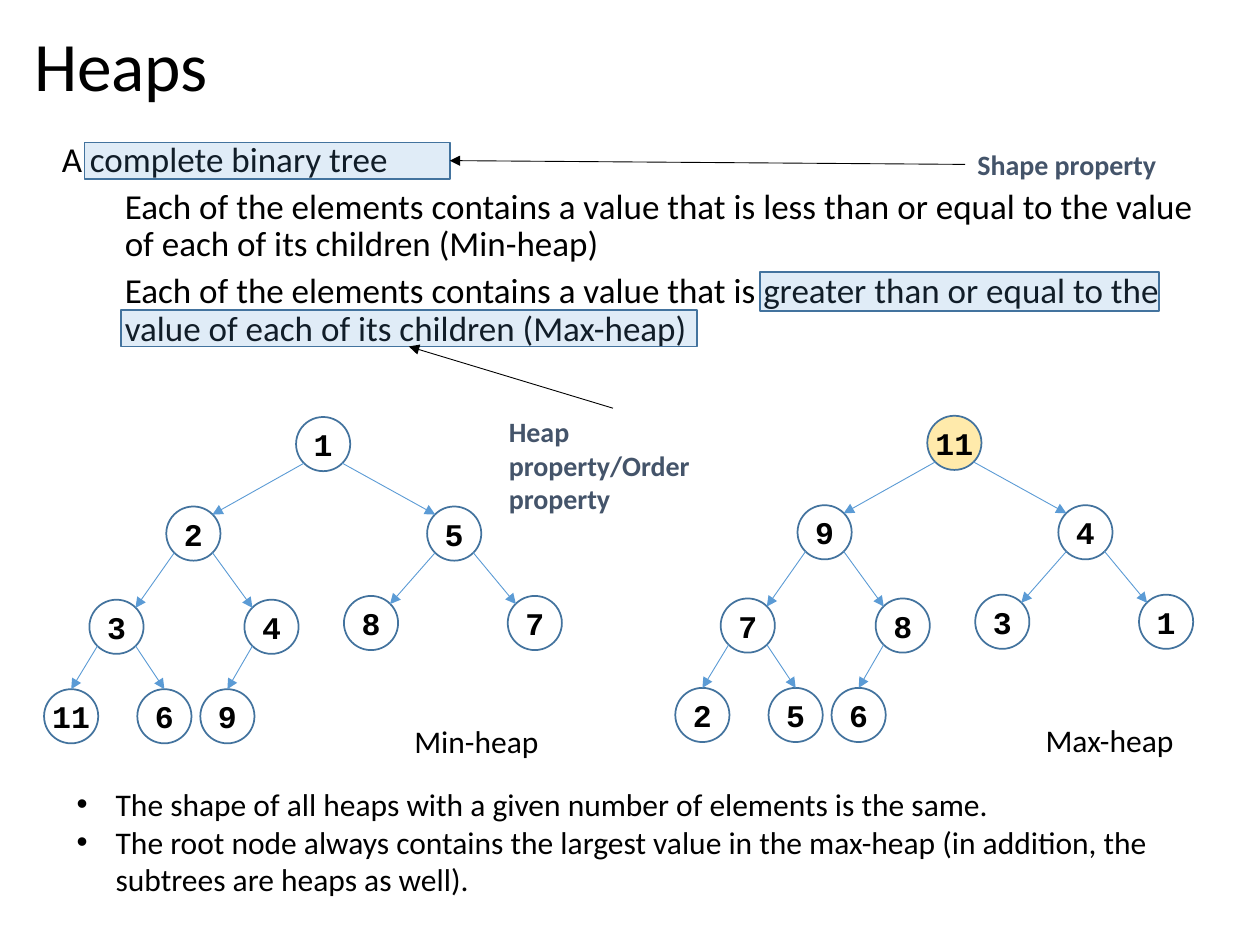
from dataclasses import dataclass
from typing import NamedTuple

from pptx import Presentation
from pptx.dml.color import RGBColor
from pptx.enum.shapes import MSO_CONNECTOR as Line, MSO_SHAPE as Preset
from pptx.enum.text import MSO_ANCHOR as Anchor, MSO_AUTO_SIZE as AutoSize, PP_ALIGN as Align
from pptx.oxml.ns import qn
from pptx.util import Inches, Pt
from lxml.etree import SubElement


@dataclass(frozen=True)
class Theme:
    text: str = "000000"
    note: str = "44546A"
    outline: str = "43739E"
    accent: str = "5B9BD5"
    root: str = "FFC000"
    font: str = "Calibri"
    node_font: str = "Courier New"
    title_size: float = 39.6
    body_size: int = 20
    label_size: int = 18
    note_size: int = 16


class Box(NamedTuple):
    left: float
    top: float
    width: float
    height: float

    def inside(self, left, top, width, height):
        return Box(self.left + left, self.top + top, width, height)

    def point(self, across, down):
        return self.left + across * self.width, self.top + down * self.height

    def lengths(self):
        return [Inches(value) for value in self]


THEME = Theme()
NODE_SIZE = 0.43
NODE_PLACES = [(2, 0), (0.97, 0.71), (3.04, 0.71),
               (0.36, 1.45), (1.59, 1.45), (2.38, 1.42), (3.68, 1.42),
               (0, 2.16), (0.74, 2.16), (1.24, 2.16)]
LAST_ROW = 7
NEAR, FAR = 0.15, 0.85


def apply(target, formats):
    for name, value in formats.items():
        setattr(target, name, value)


def style_text(paragraph, size, color=THEME.text, font=THEME.font, bold=False, **formats):
    apply(paragraph.font, {"size": Pt(size), "name": font, "bold": bold})
    paragraph.font.color.rgb = RGBColor.from_string(color)
    apply(paragraph, formats)


def set_indent(paragraph, margin, first, bullet=None):
    properties = paragraph._p.get_or_add_pPr()
    properties.set("marL", str(Inches(margin)))
    properties.set("indent", str(Inches(first)))
    if bullet:
        SubElement(properties, qn("a:buFont")).set("typeface", "Arial")
        SubElement(properties, qn("a:buChar")).set("char", bullet)
    else:
        SubElement(properties, qn("a:buNone"))


def fill_placeholder(placeholder, box, lines, anchor):
    apply(placeholder, dict(zip(("left", "top", "width", "height"), box.lengths())))
    frame = placeholder.text_frame
    frame.text = "\n".join(lines)
    apply(frame, {"auto_size": AutoSize.NONE, "vertical_anchor": anchor})
    return frame.paragraphs


def add_title(slide, box):
    heading, = fill_placeholder(slide.shapes.title, box, ["Heaps"], Anchor.MIDDLE)
    style_text(heading, THEME.title_size, alignment=Align.LEFT, line_spacing=0.9)


def add_definition(slide, box):
    rules = fill_placeholder(slide.placeholders[1], box, [
        "A complete binary tree",
        "Each of the elements contains a value that is less than or equal to the value "
        "of each of its children (Min-heap)",
        "Each of the elements contains a value that is greater than or equal to the value "
        "of each of its children (Max-heap)",
    ], Anchor.TOP)
    for rule, level in zip(rules, (0, 1, 1)):
        style_text(rule, THEME.body_size, level=level, line_spacing=0.9,
                   space_before=Pt(5 if level else 10))
        set_indent(rule, 0.5 * level, 0)


def add_text(shapes, box, lines, size, **formats):
    holder = shapes.add_textbox(*box.lengths())
    frame = holder.text_frame
    apply(frame, {"word_wrap": True, "auto_size": AutoSize.SHAPE_TO_FIT_TEXT})
    frame.text = "\n".join(lines)
    for paragraph in frame.paragraphs:
        style_text(paragraph, size, **formats)
    return holder


def add_outlined(shapes, preset, box, fill=None, opacity=100):
    outlined = shapes.add_shape(preset, *box.lengths())
    outlined.shadow.inherit = False
    outlined.line.color.rgb = RGBColor.from_string(THEME.outline)
    outlined.line.width = Pt(1)
    if fill:
        outlined.fill.solid()
        outlined.fill.fore_color.rgb = RGBColor.from_string(fill)
        color = outlined.fill._xPr.find(qn("a:solidFill"))[0]
        SubElement(color, qn("a:alpha")).set("val", str(opacity * 1000))
    else:
        outlined.fill.background()
    return outlined


def add_arrow(shapes, start, end, color):
    arrow = shapes.add_connector(Line.STRAIGHT, *[Inches(value) for value in (*start, *end)])
    arrow.line.color.rgb = RGBColor.from_string(color)
    arrow.line.width = Pt(0.5)
    SubElement(arrow.line._get_or_add_ln(), qn("a:tailEnd")).set("type", "triangle")
    SubElement(arrow._element.spPr, qn("a:effectLst"))
    return arrow


def add_node(shapes, box, value, fill):
    node = add_outlined(shapes, Preset.OVAL, box, fill, 33)
    frame = node.text_frame
    sides = ("margin_left", "margin_top", "margin_right", "margin_bottom")
    apply(frame, {**dict.fromkeys(sides, 0), "vertical_anchor": Anchor.MIDDLE, "word_wrap": True})
    frame.text = str(value)
    style_text(frame.paragraphs[0], THEME.label_size, font=THEME.node_font, bold=True,
               alignment=Align.CENTER)


def add_heap(slide, box, label, values, root_fill=None):
    shapes = slide.shapes.add_group_shape().shapes
    nodes = [box.inside(left, top, NODE_SIZE, NODE_SIZE) for left, top in NODE_PLACES]
    for index, (node, value) in enumerate(zip(nodes, values)):
        add_node(shapes, node, value, None if index else root_fill)
    for child in range(1, len(nodes)):
        parent_side, child_side = (NEAR, FAR) if child % 2 else (FAR, NEAR)
        tip = (0.5, 0) if child >= LAST_ROW else (child_side, NEAR)
        add_arrow(shapes, nodes[(child - 1) // 2].point(parent_side, FAR),
                  nodes[child].point(*tip), THEME.accent)
    add_text(shapes, box.inside(2.84, 2.37, 1.46, 0.4), [label], THEME.label_size)


def add_property(slide, box, name, marked, note_side, marked_side):
    highlights = [add_outlined(slide.shapes, Preset.RECTANGLE, part, THEME.accent, 19)
                  for part in marked]
    note = add_text(slide.shapes, box, [name], THEME.note_size, color=THEME.note, bold=True)
    pointer = add_arrow(slide.shapes, box[:2], marked[-1][:2], THEME.text)
    pointer.begin_connect(note, note_side)
    pointer.end_connect(highlights[-1], marked_side)


def add_remarks(slide, box):
    remarks = add_text(slide.shapes, box, [
        "The shape of all heaps with a given number of elements is the same.",
        "The root node always contains the largest value in the max-heap "
        "(in addition, the subtrees are heaps as well).",
    ], THEME.label_size)
    for remark in remarks.text_frame.paragraphs:
        set_indent(remark, 0.31, -0.31, "•")


def main():
    deck = Presentation()
    deck.slide_width, deck.slide_height = Inches(10), Inches(7.5)
    slide = deck.slides.add_slide(deck.slide_layouts[1])
    add_title(slide, Box(0.17, 0.18, 9.62, 0.74))
    add_definition(slide, Box(0.39, 1.08, 9.4, 1.94))
    add_heap(slide, Box(5.36, 3.3, 4.3, 2.77), "Max-heap",
             [11, 9, 4, 7, 8, 3, 1, 2, 5, 6], THEME.root)
    add_heap(slide, Box(0.35, 3.31, 4.3, 2.77), "Min-heap",
             [1, 2, 5, 3, 4, 8, 7, 11, 6, 9])
    add_property(slide, Box(7.66, 1.12, 2.14, 0.37), "Shape property",
                 [Box(0.67, 1.13, 2.9, 0.29)], 1, 3)
    add_property(slide, Box(3.94, 3.24, 1.85, 0.91), "Heap property/Order property",
                 [Box(6.03, 2.16, 3.17, 0.31), Box(0.96, 2.46, 4.57, 0.29)], 0, 2)
    add_remarks(slide, Box(0.51, 6.18, 8.96, 1.01))
    deck.save("out.pptx")


if __name__ == "__main__":
    main()
